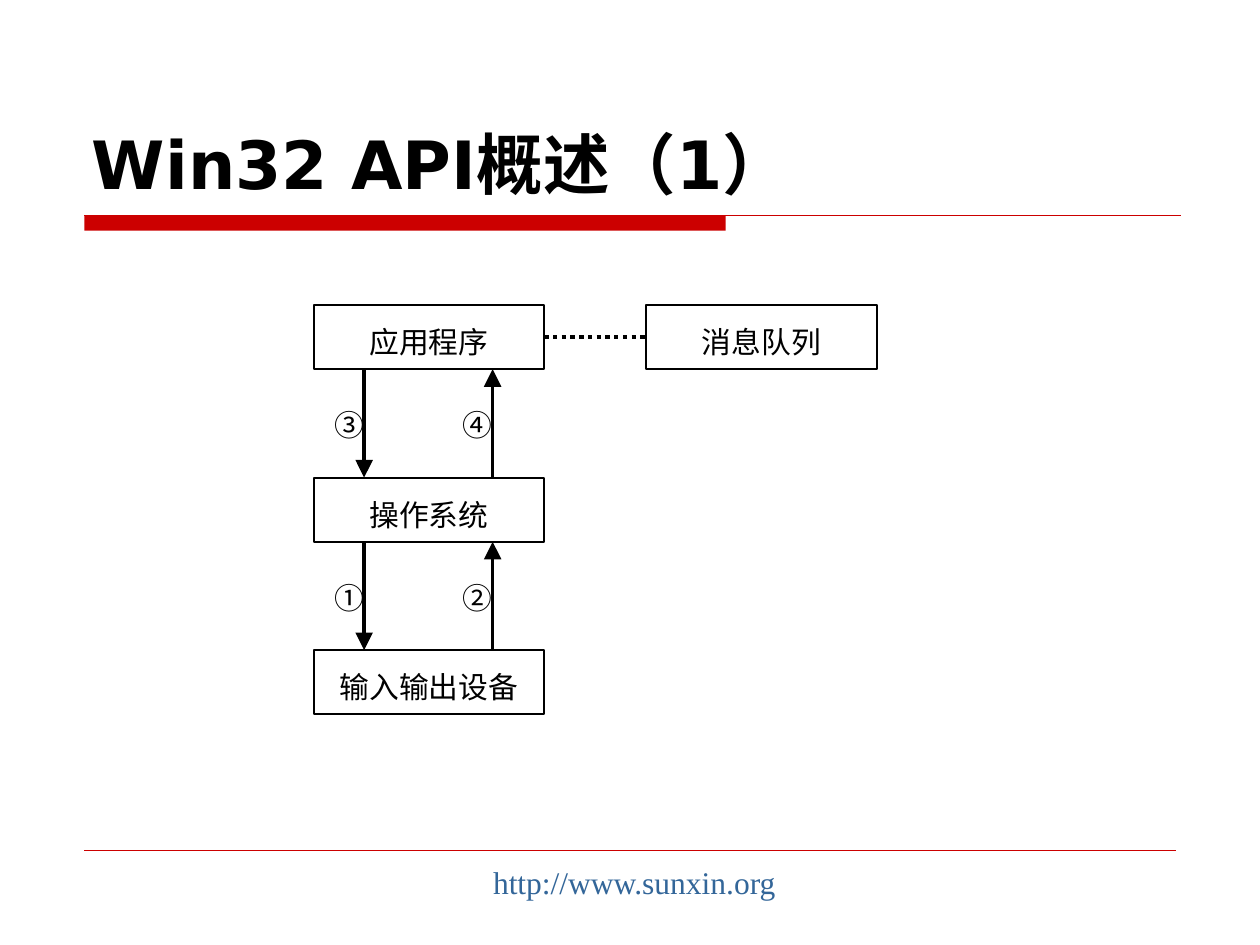
from pptx import Presentation
from pptx.util import Inches, Pt
from pptx.dml.color import RGBColor
from pptx.enum.dml import MSO_LINE_DASH_STYLE as Dash
from pptx.enum.shapes import MSO_CONNECTOR as Conn, MSO_SHAPE as Shape
from pptx.enum.text import MSO_ANCHOR as Anchor, PP_ALIGN as Align
from pptx.oxml.ns import qn
from lxml.etree import SubElement

TITLE = "Win32 API概述（1）"
SITE = "http://www.sunxin.org"
STACK = ["应用程序", "操作系统", "输入输出设备"]
QUEUE = "消息队列"
MARKS = [("③", "④"), ("①", "②")]
CJK = "Noto Sans CJK SC"
BLACK, WHITE, RED, BLUE = "000000", "FFFFFF", "CC0000", "336699"
LEFT, TOP, WIDE, HIGH, STEP = 2.49, 2.42, 1.83, 0.51, 1.37
QUEUE_X = 5.13
DOWN_X, UP_X = 2.89, 3.91

prs = Presentation()
prs.slide_width, prs.slide_height = Inches(10), Inches(7.5)
slide = prs.slides.add_slide(prs.slide_layouts[5])
shapes = slide.shapes


def rgb(code):
    return RGBColor.from_string(code)


def write(frame, text, size, face, color=BLACK, bold=False,
          align=Align.CENTER, anchor=Anchor.TOP, inset=(0.1, 0.05, 0.1, 0.05)):
    frame.word_wrap = True
    frame.vertical_anchor = anchor
    (frame.margin_left, frame.margin_top,
     frame.margin_right, frame.margin_bottom) = map(Inches, inset)
    para = frame.paragraphs[0]
    para.alignment = align
    run = para.add_run()
    run.text = text
    font = run.font
    font.size, font.name, font.bold = Pt(size), face, bold
    font.color.rgb = rgb(color)
    SubElement(font._element, qn("a:ea")).set("typeface", CJK)


def label(text, x, y, w, h, *look, **more):
    area = shapes.add_textbox(*map(Inches, (x, y, w, h)))
    write(area.text_frame, text, *look, **more)


def rect(x, y, w, h, fill):
    box = shapes.add_shape(Shape.RECTANGLE, *map(Inches, (x, y, w, h)))
    box.shadow.inherit = False
    box.fill.solid()
    box.fill.fore_color.rgb = rgb(fill)
    box.line.fill.background()
    return box


def node(text, x, y):
    box = rect(x, y, WIDE, HIGH, WHITE)
    box.line.color.rgb = rgb(BLACK)
    box.line.width = Pt(1.13)
    write(box.text_frame, text, 17, CJK, anchor=Anchor.MIDDLE,
          inset=(0, 0.07, 0, 0))
    return box


def link(x1, y1, x2, y2, color, width, head=False):
    line = shapes.add_connector(Conn.STRAIGHT, *map(Inches, (x1, y1, x2, y2)))
    line.line.color.rgb = rgb(color)
    line.line.width = Pt(width)
    if head:
        tail = SubElement(line.line._get_or_add_ln(), qn("a:tailEnd"))
        for key, value in (("type", "triangle"), ("w", "lg"), ("len", "lg")):
            tail.set(key, value)
    SubElement(line._element.spPr, qn("a:effectLst"))
    return line


title = shapes.title
title.left, title.top, title.width, title.height = map(
    Inches, (0.63, 0.33, 8.75, 1.33))
write(title.text_frame, TITLE, 38, "DejaVu Sans", bold=True,
      align=Align.LEFT, anchor=Anchor.BOTTOM)

rect(0.67, 1.71, 5.09, 0.12, RED)
link(0.67, 1.71, 9.37, 1.71, RED, 0.75)
link(0.67, 6.75, 9.33, 6.75, RED, 0.25)
label(SITE, 1.77, 6.8, 6.53, 0.4, 18, "Times New Roman", BLUE)

nodes = [node(text, LEFT, TOP + i * STEP) for i, text in enumerate(STACK)]
queue = node(QUEUE, QUEUE_X, TOP)

mid = TOP + HIGH / 2
dots = link(LEFT + WIDE, mid, QUEUE_X, mid, BLACK, 2.5)
dots.line.dash_style = Dash.ROUND_DOT
dots.begin_connect(nodes[0], 3)
dots.end_connect(queue, 1)

for i, pair in enumerate(MARKS):
    high = TOP + HIGH + i * STEP
    low = TOP + (i + 1) * STEP
    link(DOWN_X, high, DOWN_X, low, BLACK, 2, head=True)
    link(UP_X, low, UP_X, high, BLACK, 2, head=True)
    for mark, x in zip(pair, (DOWN_X, UP_X)):
        label(mark, x - 0.24, high + 0.3, 0.24, 0.28, 17, CJK,
              inset=(0, 0, 0, 0))

prs.save("out.pptx")
